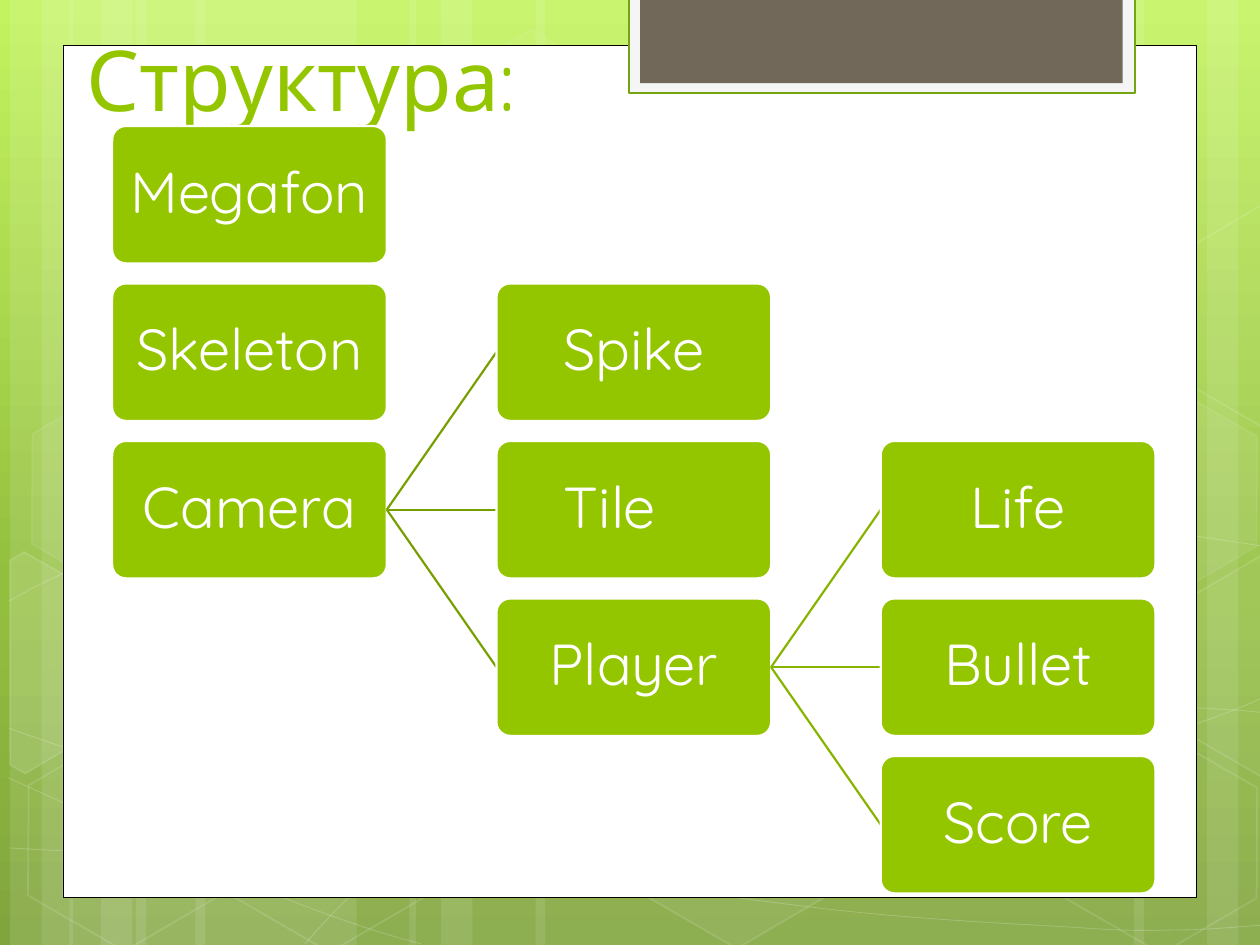
from lxml import etree
from pptx import Presentation
from pptx.dml.color import RGBColor
from pptx.enum.shapes import MSO_CONNECTOR as Connector, MSO_SHAPE as Shape
from pptx.enum.text import MSO_ANCHOR as Anchor, PP_ALIGN as Align
from pptx.oxml.ns import qn
from pptx.util import Inches, Pt

WHITE = RGBColor(0xFF, 0xFF, 0xFF)
BLACK = RGBColor(0, 0, 0)
LIME = RGBColor(0x94, 0xC6, 0x00)
DARK_LIME = RGBColor(0x77, 0x9F, 0x00)
MID_LIME = RGBColor(0x86, 0xB4, 0x00)
TAB_EDGE = RGBColor(0x74, 0xA5, 0x10)
TAB_RIM = RGBColor(0xF5, 0xF5, 0xF5)
TAB_BROWN = RGBColor(0x71, 0x68, 0x5A)
SKY = [(0, RGBColor(0xC3, 0xF3, 0x5F)), (62, RGBColor(0x93, 0xBF, 0x3F)),
       (100, RGBColor(0x81, 0xA5, 0x3E))]
FONT = "Quicksand"

TITLE = "Структура:"
COLUMNS = [
    {"names": ["Megafon", "Skeleton", "Camera"], "row": 0},
    {"names": ["Spike", "Tile", "Player"], "row": 1, "parent_row": 2, "color": DARK_LIME},
    {"names": ["Life", "Bullet", "Score"], "row": 2, "parent_row": 3, "color": MID_LIME},
]
RIGHT_INSETS = {"Tile": 0.4}

STRIPES = [(1.08, 1.75), (0.08, 0.5), (0.33, 0.83), (1.55, 1.75), (0.55, 0.5), (0.8, 0.83),
           (7.33, 1.75), (9.58, 0.5), (9, 0.83), (4.25, 3.08), (3.25, 0.5), (3.5, 0.83)]
WAVES = [
    [(0.07, 6.73), (0.61, 6.76, 1.15, 6.79, 1.9, 6.78), (2.65, 6.77, 3.58, 6.75, 4.58, 6.65),
     (5.58, 6.55, 7, 6.36, 7.92, 6.17), (8.83, 5.98, 9.77, 5.68, 10.07, 5.51)],
    [(0.07, 4.77), (0.36, 4.61, 0.65, 4.46, 1.21, 4.31), (1.78, 4.16, 2.59, 3.94, 3.47, 3.87),
     (4.36, 3.8, 5.44, 3.79, 6.54, 3.87), (7.64, 3.95, 9.47, 4.26, 10.07, 4.34)],
    [(0.06, 6.17), (1.27, 6.72, 2.47, 7.27, 3.34, 7.49)],
    [(0.07, 5.78), (0.38, 5.89, 0.7, 6, 1.28, 6.16), (1.86, 6.31, 2.73, 6.56, 3.57, 6.73),
     (4.4, 6.9, 5.45, 7.08, 6.28, 7.18), (7.11, 7.29, 8, 7.33, 8.53, 7.36),
     (9.05, 7.4, 9.19, 7.38, 9.45, 7.38), (9.71, 7.37, 9.89, 7.35, 10.07, 7.34)],
    [(2.42, 7.49), (2.6, 7.29, 2.78, 7.09, 3.02, 6.91), (3.26, 6.73, 3.6, 6.53, 3.88, 6.39),
     (4.16, 6.25, 4.33, 6.19, 4.7, 6.09), (5.06, 5.99, 5.73, 5.85, 6.08, 5.78),
     (6.44, 5.71, 6.49, 5.71, 6.8, 5.69), (7.11, 5.66, 7.6, 5.63, 7.94, 5.62),
     (8.29, 5.61, 8.86, 5.62, 8.86, 5.62), (9.53, 5.62),
     (9.71, 5.63, 9.88, 5.64, 9.97, 5.65), (10.06, 5.66, 10.03, 5.65, 10.06, 5.66)],
]
HEXAGONS = [(3.34, 0.36, 4, 8), (4.97, 5.89, 6, 12), (0.11, 5.91, 0, 12),
            (0.14, 3.12, 7, 8), (1.74, 5.92, 0, 12), (7.53, 4.53, 10, 12),
            (8.34, 5.93, 0, 12), (8.34, 3.14, 7, 8)]
CUT_HEXAGONS = [
    ([(0.08, 4.45), (0.19, 4.38), (0.96, 4.82), (0.95, 5.7), (0.2, 6.14), (0.08, 6.07)], 10),
    ([(9.26, 4.85), (10.01, 4.41), (10.09, 4.46), (10.09, 6.13), (10.02, 6.17), (9.26, 5.73)], 4),
    ([(9.26, 2.07), (10.01, 1.63), (10.1, 1.68), (10.09, 3.35), (10.02, 3.39), (9.26, 2.95)], 0),
]
PANELS = [((0.5, 0.36, 9, 6.76), WHITE, BLACK, 0.5),
          ((4.99, -0.02, 4.02, 0.76), TAB_RIM, TAB_EDGE, 1.25),
          ((5.08, -0.02, 3.83, 0.68), TAB_BROWN, None, 0)]

BOX_LEFT, BOX_TOP, BOX_WIDTH, BOX_HEIGHT = 0.89, 1, 2.18, 1.09
COLUMN_STEP, ROW_STEP = 3.05, 1.25

deck = Presentation()
deck.slide_width, deck.slide_height = Inches(10), Inches(7.5)
page = deck.slides.add_slide(deck.slide_layouts[6])


def set_all(target, values):
    for name, value in values.items():
        setattr(target, name, value)


def fade(fill, percent):
    if percent < 100:
        color = fill._xPr.find(qn("a:solidFill"))[0]
        etree.SubElement(color, qn("a:alpha"), val=str(percent * 1000))


def paint(shape, fill=None, opacity=100, line=None, width=0, line_opacity=100):
    shape.shadow.inherit = False
    for part, color, percent in ((shape.fill, fill, opacity),
                                 (shape.line.fill, line, line_opacity)):
        if color is None or percent == 0:
            part.background()
        else:
            part.solid()
            part.fore_color.rgb = color
            fade(part, percent)
    if line is not None:
        shape.line.width = Pt(width)
    return shape


def add_box(kind, place, **look):
    return paint(page.shapes.add_shape(kind, *map(Inches, place)), **look)


def add_outline(points, close, **look):
    points = [(Inches(x), Inches(y)) for x, y in points]
    builder = page.shapes.build_freeform(*points[0])
    builder.add_line_segments(points[1:], close=close)
    return paint(builder.convert_to_shape(), **look)


def add_wave(wave):
    shape = add_outline([step[-2:] for step in wave], False,
                        line=WHITE, width=0.5, line_opacity=20)
    segments = list(shape._element.spPr.iter(qn("a:lnTo")))
    for segment, step in zip(segments, wave[1:]):
        if len(step) == 2:
            continue
        curve = etree.Element(qn("a:cubicBezTo"))
        for x, y in zip(step[::2], step[1::2]):
            etree.SubElement(curve, qn("a:pt"), x=str(Inches(x) - shape.left),
                             y=str(Inches(y) - shape.top))
        segment.getparent().replace(segment, curve)


def write(box, text, size, color, **frame_format):
    frame = box.text_frame
    set_all(frame, {"word_wrap": True, **frame_format})
    para = frame.paragraphs[0]
    span = para.add_run()
    span.text = text
    set_all(span.font, {"size": Pt(size), "name": FONT})
    span.font.color.rgb = color
    return para


def add_link(start, end, color):
    link = page.shapes.add_connector(Connector.STRAIGHT, *map(Inches, (*start, *end)))
    link.line.color.rgb = color
    link.line.width = Pt(1.25)
    etree.SubElement(link._element.spPr, qn("a:effectLst"))


sky = page.background.fill
sky.gradient()
gradient = sky._xPr.find(qn("a:gradFill"))
stops = gradient.find(qn("a:gsLst"))
for stop in list(stops):
    stops.remove(stop)
for position, color in SKY:
    stop = etree.SubElement(stops, qn("a:gs"), pos=str(position * 1000))
    etree.SubElement(stop, qn("a:srgbClr"), val=str(color))
gradient.find(qn("a:lin")).set("ang", "5400000")

for left, width in STRIPES:
    add_box(Shape.RECTANGLE, (left, 0, width, 7.5), fill=WHITE, opacity=10)
for wave in WAVES:
    add_wave(wave)
for left, top, opacity, line_opacity in HEXAGONS:
    hexagon = add_box(Shape.HEXAGON, (left, top, 1.75, 1.52), fill=WHITE, opacity=opacity,
                      line=WHITE, width=1, line_opacity=line_opacity)
    hexagon.rotation = 30
    hexagon.adjustments[0] = 0.285
for points, opacity in CUT_HEXAGONS:
    add_outline(points, True, fill=WHITE, opacity=opacity, line=WHITE, width=1, line_opacity=12)
for place, fill, line, width in PANELS:
    add_box(Shape.RECTANGLE, place, fill=fill, line=line, width=width)

title = page.shapes.add_textbox(*map(Inches, (0.59, -0.03, 10.29, 1.1)))
write(title, TITLE, 48, LIME, vertical_anchor=Anchor.BOTTOM)

for index, column in enumerate(COLUMNS):
    left = BOX_LEFT + index * COLUMN_STEP
    for row, name in enumerate(column["names"], column["row"]):
        top = BOX_TOP + row * ROW_STEP
        if "parent_row" in column:
            parent_top = BOX_TOP + column["parent_row"] * ROW_STEP
            add_link((left - COLUMN_STEP + BOX_WIDTH, parent_top + BOX_HEIGHT / 2),
                     (left, top + BOX_HEIGHT / 2), column["color"])
        box = add_box(Shape.ROUNDED_RECTANGLE, (left, top, BOX_WIDTH, BOX_HEIGHT),
                      fill=LIME, line=WHITE, width=1.25)
        box.adjustments[0] = 0.1
        para = write(box, name, 33, WHITE, vertical_anchor=Anchor.MIDDLE,
                     margin_left=Inches(0.02), margin_top=Inches(0.02),
                     margin_bottom=Inches(0.02),
                     margin_right=Inches(RIGHT_INSETS.get(name, 0.02)))
        set_all(para, {"alignment": Align.CENTER, "line_spacing": 0.9})

deck.save("out.pptx")
